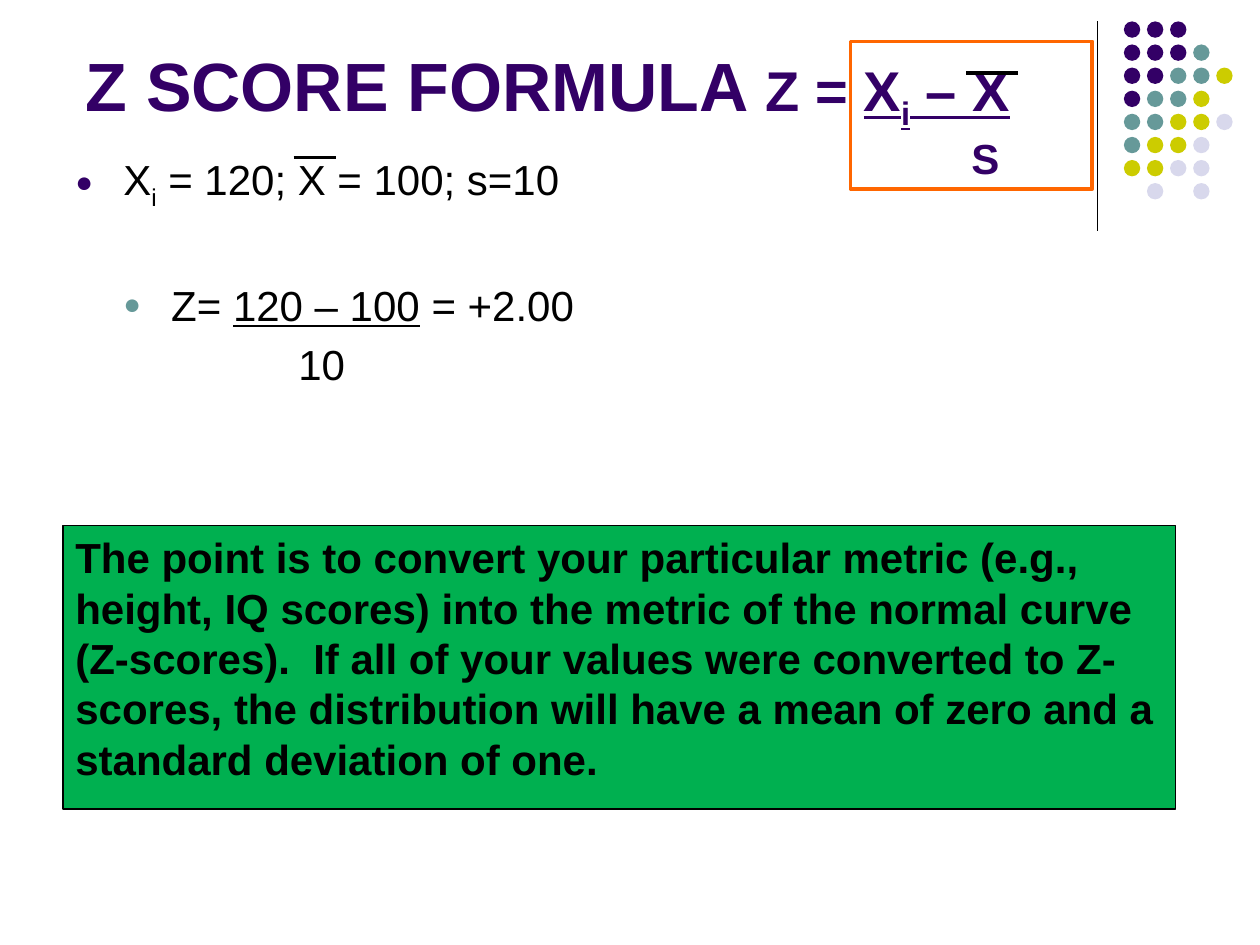
"""Build the Z score formula slide."""
from lxml import etree
from pptx import Presentation
from pptx.dml.color import RGBColor
from pptx.enum import shapes, text
from pptx.oxml import ns
from pptx.util import Inches, Pt

PURPLE = RGBColor(0x33, 0x00, 0x66)
TEAL = RGBColor(0x66, 0x99, 0x99)
OLIVE = RGBColor(0xCC, 0xCC, 0x00)
LAVENDER = RGBColor(0xD8, 0xD8, 0xEC)
ORANGE = RGBColor(0xFF, 0x66, 0x00)
GREEN = RGBColor(0x00, 0xB0, 0x50)
BLACK = RGBColor(0, 0, 0)


def add_run(paragraph, words, size, color, bold=False, underline=False, subscript=False):
    run = paragraph.add_run()
    run.text = words
    run.font.name = "Arial"
    run.font.size = Pt(size)
    run.font.color.rgb = color
    run.font.bold = bold
    run.font.underline = underline
    if subscript:
        run.font._element.set("baseline", "-25000")


def set_indent(paragraph, left, first=0, bullet_color=None):
    properties = paragraph._p.get_or_add_pPr()
    properties.set("marL", str(Inches(left)))
    properties.set("indent", str(Inches(first)))
    if bullet_color is None:
        etree.SubElement(properties, ns.qn("a:buNone"))
        return
    color = etree.SubElement(properties, ns.qn("a:buClr"))
    etree.SubElement(color, ns.qn("a:srgbClr"), val=str(bullet_color))
    etree.SubElement(properties, ns.qn("a:buSzPct"), val="70000")
    etree.SubElement(properties, ns.qn("a:buFont"), typeface="Arial")
    etree.SubElement(properties, ns.qn("a:buChar"), char="●")


presentation = Presentation()
presentation.slide_width = Inches(10)
presentation.slide_height = Inches(7.5)
slide = presentation.slides.add_slide(presentation.slide_layouts[5])

DOT_ROWS = ["PPP", "PPPT", "PPTTO", "PTTO", "TTOOL", "TOOL", "OOLL", " L L"]
DOT_COLORS = {"P": PURPLE, "T": TEAL, "O": OLIVE, "L": LAVENDER}
DOT_PITCH = 0.55 / 3
dots = slide.shapes.add_group_shape()
for row, pattern in enumerate(DOT_ROWS):
    for column, key in enumerate(pattern):
        if key in DOT_COLORS:
            dot = dots.shapes.add_shape(
                shapes.MSO_SHAPE.OVAL,
                Inches(8.92 + column * DOT_PITCH), Inches(0.17 + row * DOT_PITCH),
                Inches(0.13), Inches(0.13))
            dot.shadow.inherit = False
            dot.fill.solid()
            dot.fill.fore_color.rgb = DOT_COLORS[key]
            dot.line.fill.background()

title = slide.shapes.title
title.left, title.top, title.width, title.height = map(Inches, (0.58, 0.25, 9, 1.25))
frame = title.text_frame
frame.word_wrap = True
frame.auto_size = text.MSO_AUTO_SIZE.NONE
frame.vertical_anchor = text.MSO_ANCHOR.BOTTOM
formula = frame.paragraphs[0]
divisor = frame.add_paragraph()
for paragraph in (formula, divisor):
    paragraph.alignment = text.PP_ALIGN.LEFT
    paragraph.space_before = Pt(0)
add_run(formula, "Z SCORE FORMULA ", 39, PURPLE, bold=True)
add_run(formula, "Z = ", 32, PURPLE, bold=True)
add_run(formula, "X", 32, PURPLE, bold=True, underline=True)
add_run(formula, "i", 32, PURPLE, bold=True, underline=True, subscript=True)
add_run(formula, " – X", 32, PURPLE, bold=True, underline=True)
set_indent(divisor, 7.03)
add_run(divisor, "S", 24, PURPLE, bold=True)

body = slide.shapes.add_textbox(Inches(0.5), Inches(1.17), Inches(4.42), Inches(4.08))
frame = body.text_frame
frame.word_wrap = True
given = frame.paragraphs[0]
given.space_before = Pt(5)
set_indent(given, 0.38, -0.38, PURPLE)
add_run(given, "X", 24, BLACK)
add_run(given, "i", 24, BLACK, subscript=True)
add_run(given, " = 120; X = 100; s=10", 24, BLACK)

result = frame.add_paragraph()
result.level = 1
result.space_before = Pt(39)
set_indent(result, 0.76, -0.38, TEAL)
add_run(result, "Z= ", 24, BLACK)
add_run(result, "120 – 100", 24, BLACK, underline=True)
add_run(result, " = +2.00", 24, BLACK)

denominator = frame.add_paragraph()
denominator.level = 1
denominator.space_before = Pt(5)
set_indent(denominator, 1.77)
add_run(denominator, "10", 24, BLACK)

for x1, y1, x2, y2, weight in [
    (8.71, 0.17, 8.71, 1.83, 0.75),
    (7.67, 0.58, 8.08, 0.58, 2.25),
    (2.33, 1.25, 2.67, 1.25, 1.5),
]:
    line = slide.shapes.add_connector(
        shapes.MSO_CONNECTOR.STRAIGHT, Inches(x1), Inches(y1), Inches(x2), Inches(y2))
    line.line.color.rgb = BLACK
    line.line.width = Pt(weight)
    etree.SubElement(line._element.spPr, ns.qn("a:effectLst"))

formula_frame = slide.shapes.add_shape(
    shapes.MSO_SHAPE.RECTANGLE, Inches(6.75), Inches(0.33), Inches(1.92), Inches(1.17))
formula_frame.shadow.inherit = False
formula_frame.fill.background()
formula_frame.line.color.rgb = ORANGE
formula_frame.line.width = Pt(2.25)

note = slide.shapes.add_shape(
    shapes.MSO_SHAPE.RECTANGLE, Inches(0.5), Inches(4.17), Inches(8.83), Inches(2.25))
note.shadow.inherit = False
note.fill.solid()
note.fill.fore_color.rgb = GREEN
note.line.color.rgb = BLACK
note.line.width = Pt(0.75)
note.text_frame.word_wrap = True
note.text_frame.vertical_anchor = text.MSO_ANCHOR.TOP
paragraph = note.text_frame.paragraphs[0]
paragraph.alignment = text.PP_ALIGN.LEFT
add_run(paragraph, "The point is to convert your particular metric (e.g., height, IQ scores) "
        "into the metric of the normal curve (Z-scores).  If all of your values were "
        "converted to Z-scores, the distribution will have a mean of zero and a "
        "standard deviation of one.", 24, BLACK, bold=True)

presentation.save("out.pptx")
